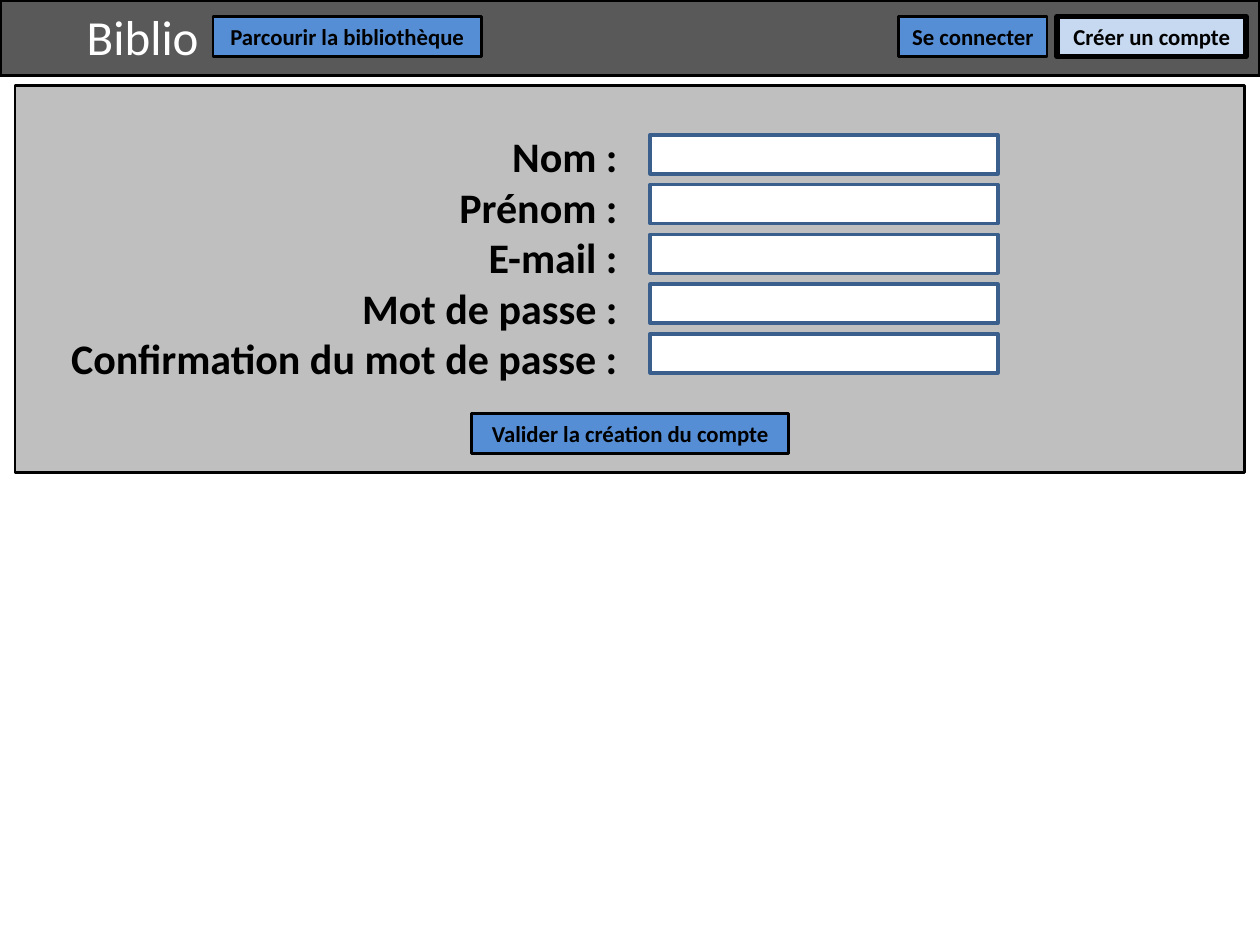
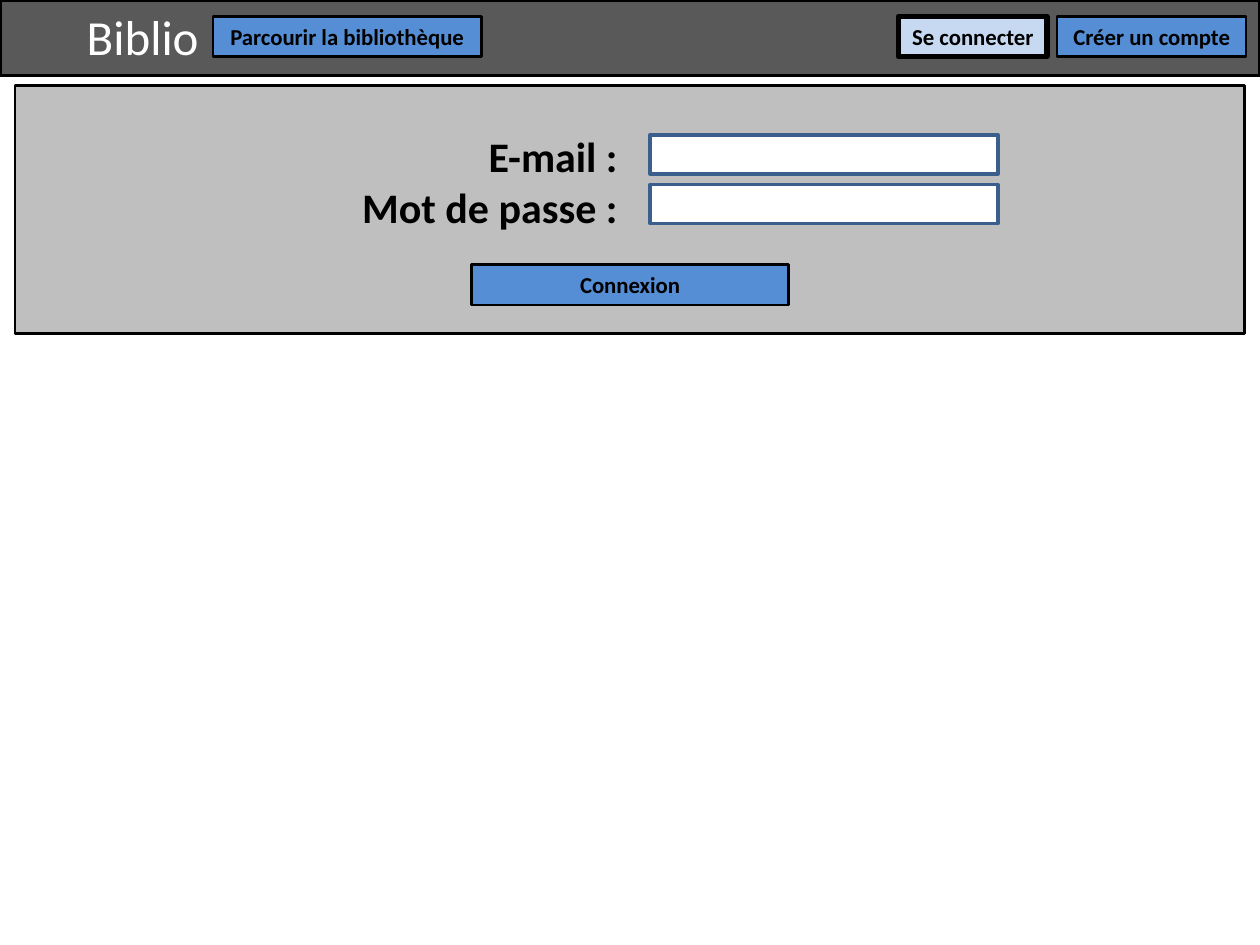
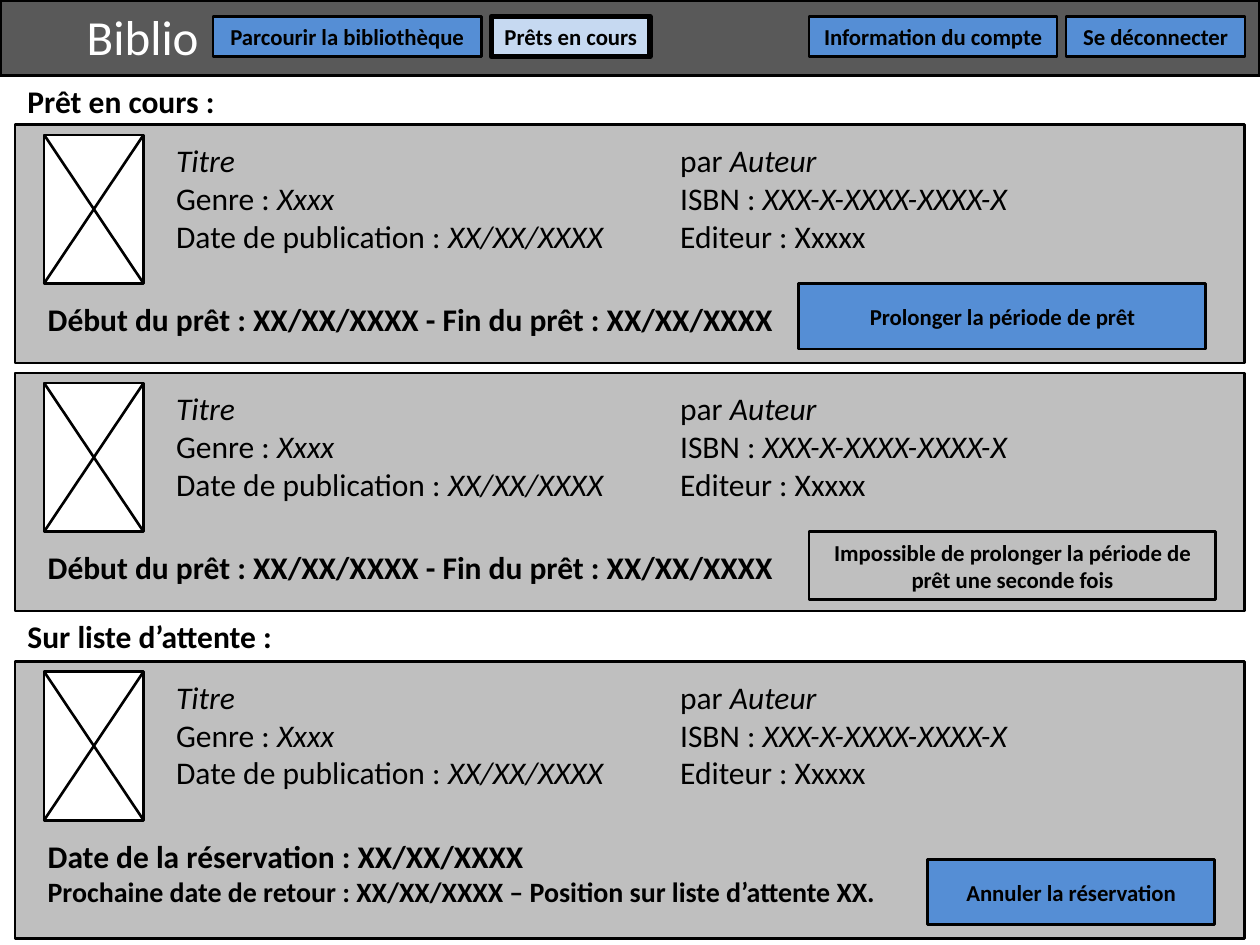
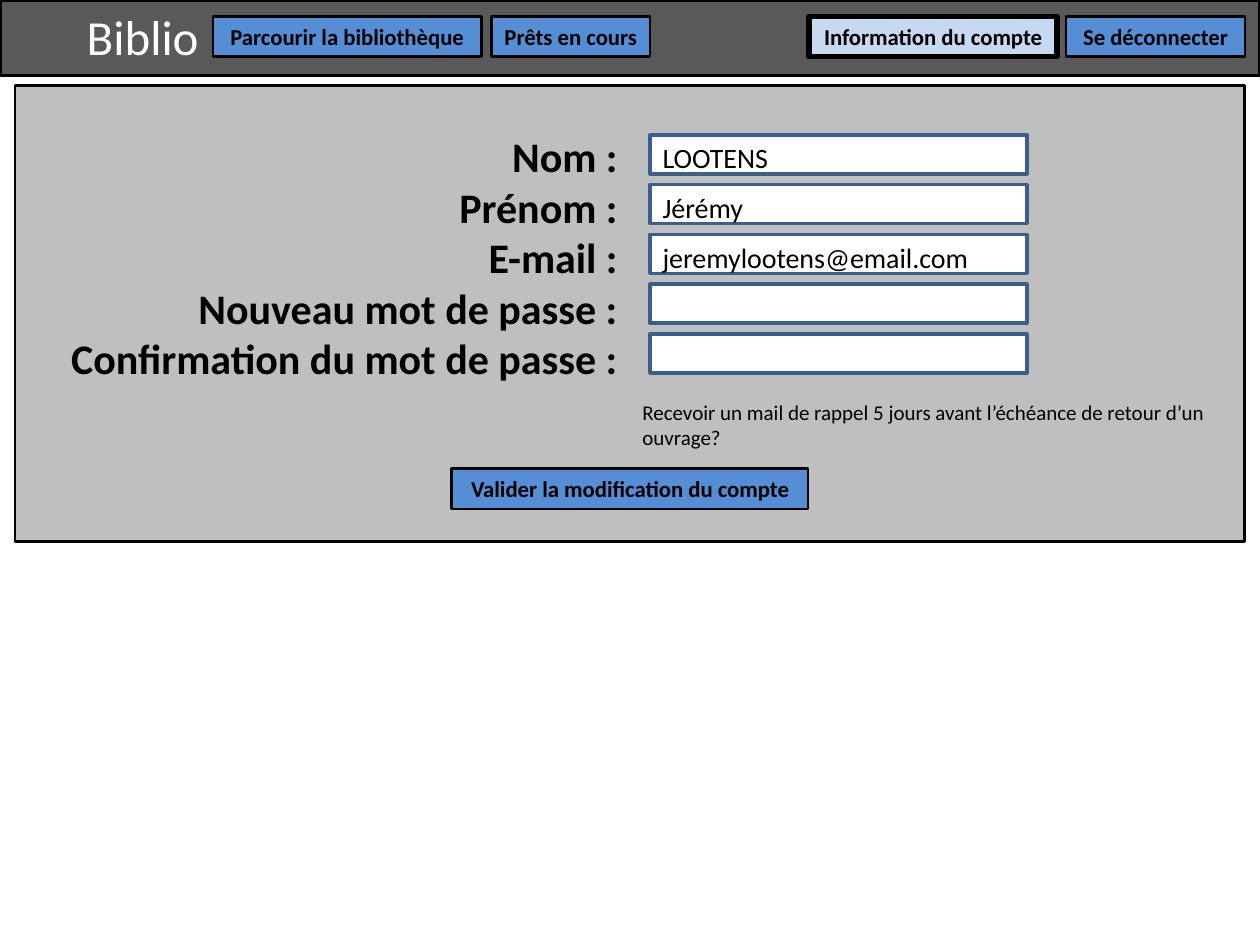
import pptx
import pptx.dml.color
import pptx.enum.shapes
import pptx.enum.text
import pptx.oxml
import pptx.oxml.ns
import pptx.util
from lxml import etree
from pptx.util import Inches

COLORS = {
    "black": "000000",
    "white": "FFFFFF",
    "header": "595959",
    "panel": "BFBFBF",
    "button": "558ED5",
    "active": "C6D9F1",
    "field_line": "3A5F8C",
}
FONT = "Calibri"
SLIDE_WIDTH, SLIDE_HEIGHT = 10, 7.5
PANEL_LEFT, PANEL_WIDTH = 0.12, 9.76
BUTTON_HEIGHT = 0.32
FIELD_LEFT, FIELD_TOP, FIELD_HEIGHT, FIELD_PITCH = 5.16, 1.07, 0.31, 0.395
SECOND_COLUMN = 4

# Left and width of every navigation button
NAVIGATION = {
    "Parcourir la bibliothèque": (1.69, 2.13),
    "Prêts en cours": (3.9, 1.26),
    "Information du compte": (6.42, 1.97),
    "Se déconnecter": (8.46, 1.42),
    "Se connecter": (7.13, 1.18),
    "Créer un compte": (8.39, 1.5),
}
VISITOR_MENU = ["Parcourir la bibliothèque", "Se connecter", "Créer un compte"]
MEMBER_MENU = ["Parcourir la bibliothèque", "Prêts en cours",
               "Information du compte", "Se déconnecter"]

# Each line is a list of (text, italic) pairs
BOOK_LINES = [
    [("Titre\t", True), ("par ", False), ("Auteur", True)],
    [("Genre : ", False), ("Xxxx\t", True), ("ISBN : ", False),
     ("XXX-X-XXXX-XXXX-X", True)],
    [("Date de publication : ", False), ("XX/XX/XXXX\t", True),
     ("Editeur : Xxxxx", False)],
]
LOAN_PERIOD = [("Début du prêt : XX/XX/XXXX - Fin du prêt : XX/XX/XXXX", 18)]
RESERVATION = [
    ("Date de la réservation : XX/XX/XXXX", 18),
    ("Prochaine date de retour : XX/XX/XXXX – Position sur liste d’attente XX.", 16),
]


def rgb(name):
    return pptx.dml.color.RGBColor.from_string(COLORS[name])


def format_run(run, size, bold=False, italic=False, color="black"):
    run.font.name = FONT
    run.font.size = pptx.util.Pt(size)
    run.font.bold = bold
    run.font.italic = italic
    run.font.color.rgb = rgb(color)


def add_rectangle(shapes, left, top, width, height, fill, line="black", line_width=1.5):
    shape = shapes.add_shape(pptx.enum.shapes.MSO_SHAPE.RECTANGLE, Inches(left),
                             Inches(top), Inches(width), Inches(height))
    shape.shadow.inherit = False
    shape.fill.solid()
    shape.fill.fore_color.rgb = rgb(fill)
    shape.line.color.rgb = rgb(line)
    shape.line.width = pptx.util.Pt(line_width)
    return shape


def add_text_box(slide, left, top, width, height):
    text_frame = slide.shapes.add_textbox(
        Inches(left), Inches(top), Inches(width), Inches(height)).text_frame
    text_frame.word_wrap = True
    return text_frame


def add_text(slide, left, top, width, height, lines, bold=False, color="black", align=None):
    """Add a text box; lines holds one (text, size) pair per paragraph."""
    text_frame = add_text_box(slide, left, top, width, height)
    text_frame.text = "\n".join(text for text, size in lines)
    for paragraph, (text, size) in zip(text_frame.paragraphs, lines):
        paragraph.alignment = align
        format_run(paragraph.runs[0], size, bold, color=color)


def add_button(slide, label, left, top, width, height=BUTTON_HEIGHT,
               fill="button", line_width=1.5):
    shape = add_rectangle(slide.shapes, left, top, width, height, fill,
                          line_width=line_width)
    text_frame = shape.text_frame
    text_frame.word_wrap = True
    text_frame.vertical_anchor = pptx.enum.text.MSO_ANCHOR.MIDDLE
    text_frame.margin_left = text_frame.margin_right = Inches(0.05)
    text_frame.margin_top = text_frame.margin_bottom = 0
    text_frame.text = label
    paragraph = text_frame.paragraphs[0]
    paragraph.alignment = pptx.enum.text.PP_ALIGN.CENTER
    format_run(paragraph.runs[0], 13, bold=True)


def add_panel(slide, top, height):
    add_rectangle(slide.shapes, PANEL_LEFT, top, PANEL_WIDTH, height, "panel")


def add_header(slide, menu, active):
    add_rectangle(slide.shapes, 0, 0, SLIDE_WIDTH, 0.6, "header", line_width=2)
    add_text(slide, 0.59, 0, 1.1, 0.57, [("Biblio", 28)], color="white")
    for label in menu:
        left, width = NAVIGATION[label]
        if label == active:
            add_button(slide, label, left, 0.13, width, fill="active", line_width=3)
        else:
            add_button(slide, label, left, 0.13, width)


def add_form(slide, labels, panel_height, field_width, submit, submit_top,
             submit_width, values=()):
    add_panel(slide, 0.68, panel_height)
    add_text(slide, 0.35, 0.99, 4.65, 0.1 + 0.4 * len(labels),
             [(label, 24) for label in labels], bold=True,
             align=pptx.enum.text.PP_ALIGN.RIGHT)
    tops = [FIELD_TOP + FIELD_PITCH * row for row in range(len(labels))]
    for top in tops:
        add_rectangle(slide.shapes, FIELD_LEFT, top, field_width, FIELD_HEIGHT,
                      "white", "field_line", 2)
    for top, value in zip(tops, values):
        add_text(slide, FIELD_LEFT, top, field_width, 0.37, [(value, 16)])
    add_button(slide, submit, (SLIDE_WIDTH - submit_width) / 2, submit_top, submit_width)


def add_cover(slide, left, top, width=0.79, height=1.18):
    """Add the crossed box that stands for a book cover."""
    group = slide.shapes.add_group_shape()
    add_rectangle(group.shapes, left, top, width, height, "white")
    right, bottom = left + width, top + height
    for start, end in ((left, right), (right, left)):
        diagonal = group.shapes.add_connector(
            pptx.enum.shapes.MSO_CONNECTOR.STRAIGHT,
            Inches(start), Inches(top), Inches(end), Inches(bottom))
        diagonal.line.color.rgb = rgb("black")
        diagonal.line.width = pptx.util.Pt(1.5)
        etree.SubElement(diagonal._element.spPr, pptx.oxml.ns.qn("a:effectLst"))


def add_tab_stop(paragraph, position):
    properties = paragraph._p.get_or_add_pPr()
    tabs = etree.SubElement(properties, pptx.oxml.ns.qn("a:tabLst"))
    etree.SubElement(tabs, pptx.oxml.ns.qn("a:tab"),
                     pos=str(Inches(position)), algn="l")


def add_book_details(slide, top):
    text_frame = add_text_box(slide, 1.3, top, 8.43, 1.01)
    for index, line in enumerate(BOOK_LINES):
        paragraph = text_frame.add_paragraph() if index else text_frame.paragraphs[0]
        add_tab_stop(paragraph, SECOND_COLUMN)
        for text, italic in line:
            run = paragraph.add_run()
            run.text = text
            format_run(run, 18, italic=italic)


def add_book_card(slide, top, height, status):
    add_panel(slide, top, height)
    add_book_details(slide, top + 0.08)
    add_cover(slide, 0.35, top + 0.08)
    add_text(slide, 0.28, top + 1.34, 6.85, 0.1 + 0.3 * len(status), status, bold=True)


def add_section_title(slide, title, top):
    add_text(slide, PANEL_LEFT, top, 2.6, 0.4, [(title, 18)], bold=True)


def add_loans(slide):
    add_section_title(slide, "Prêt en cours :", 0.6)
    add_book_card(slide, 0.99, 1.89, LOAN_PERIOD)
    add_button(slide, "Prolonger la période de prêt", 6.34, 2.25, 3.23, 0.52)
    add_book_card(slide, 2.96, 1.89, LOAN_PERIOD)
    add_button(slide, "Impossible de prolonger la période de prêt une seconde fois",
               6.42, 4.22, 3.23, 0.54, fill="panel")
    add_section_title(slide, "Sur liste d’attente :", 4.85)
    add_book_card(slide, 5.25, 2.2, RESERVATION)
    add_button(slide, "Annuler la réservation", 7.36, 6.82, 2.28, 0.52)


def main():
    presentation = pptx.Presentation()
    presentation.slide_width = Inches(SLIDE_WIDTH)
    presentation.slide_height = Inches(SLIDE_HEIGHT)
    blank = presentation.slide_layouts[6]
    sign_up, sign_in, loans, account = [
        presentation.slides.add_slide(blank) for _ in range(4)]

    add_header(sign_up, VISITOR_MENU, "Créer un compte")
    add_form(sign_up, ["Nom :", "Prénom :", "E-mail :", "Mot de passe :",
                       "Confirmation du mot de passe :"],
             3.07, 2.76, "Valider la création du compte", 3.28, 2.52)

    add_header(sign_in, VISITOR_MENU, "Se connecter")
    add_form(sign_in, ["E-mail :", "Mot de passe :"], 1.97, 2.76, "Connexion", 2.1, 2.52)

    add_header(loans, MEMBER_MENU, "Prêts en cours")
    add_loans(loans)

    add_header(account, MEMBER_MENU, "Information du compte")
    add_form(account, ["Nom :", "Prénom :", "E-mail :", "Nouveau mot de passe :",
                       "Confirmation du mot de passe :"],
             3.62, 2.99, "Valider la modification du compte", 3.72, 2.83,
             values=["LOOTENS", "Jérémy", "jeremylootens@email.com"])
    add_text(account, 5, 3.12, 4.72, 0.5,
             [("Recevoir un mail de rappel 5 jours avant l’échéance de retour "
               "d’un ouvrage?", 12)])

    presentation.save("out.pptx")


if __name__ == "__main__":
    main()
